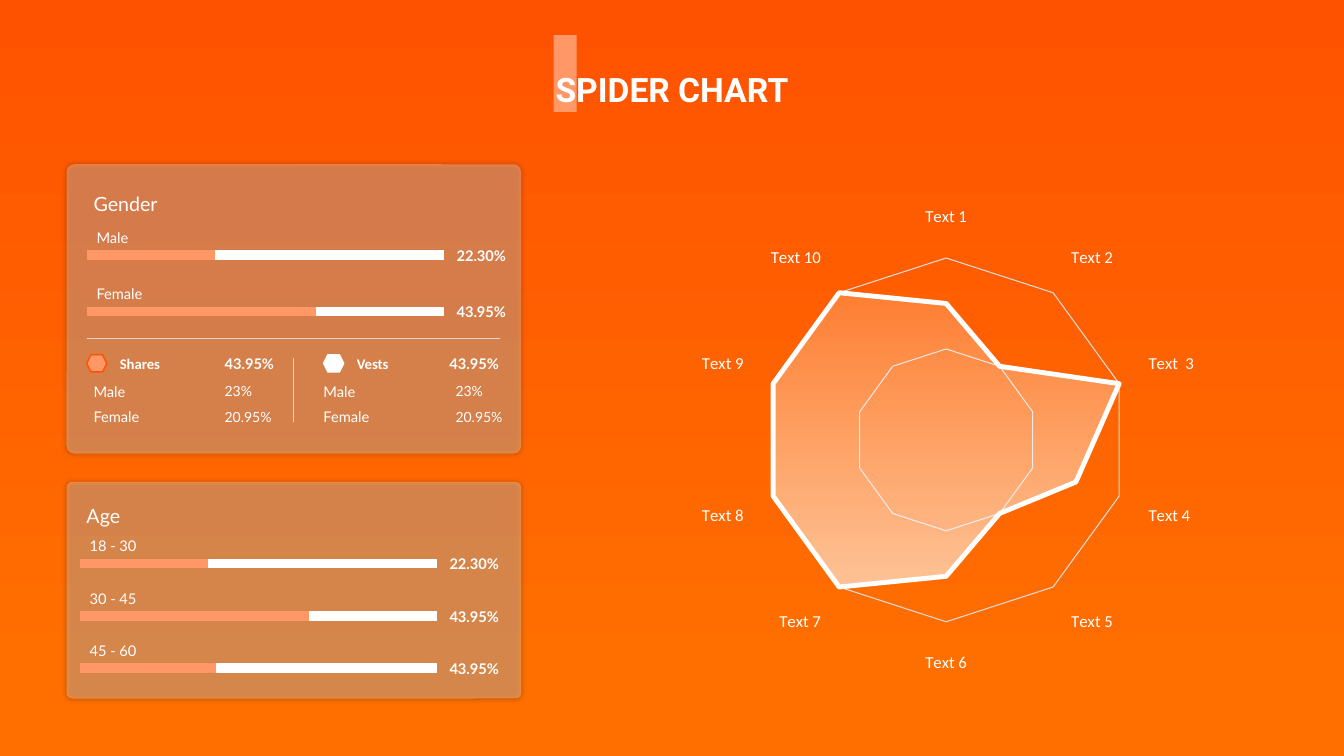
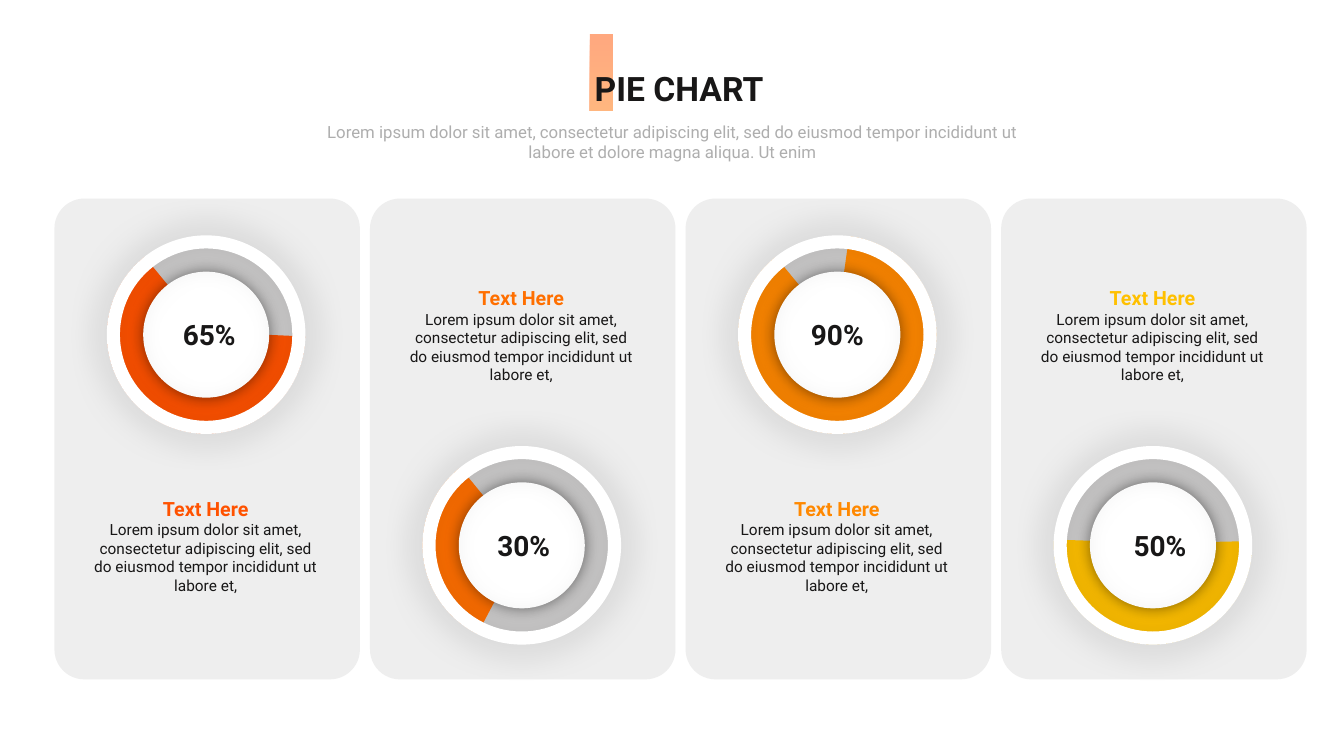
from lxml import etree
from pptx import Presentation
from pptx import util as u
from pptx.chart import data as chart_data
from pptx.dml import color as dml
from pptx.enum import chart as chart_enum
from pptx.enum import shapes, text
from pptx.oxml import ns

COLORS = {
    "white": "FFFFFF", "ink": "181717", "muted": "AEAEAE", "grid": "DDDCDC",
    "panel": "D9D9D9", "peach": "FF9766", "red": "FF5200", "orange": "FF6F00",
    "amber": "FF8800", "yellow": "FFC000", "black": "000000",
}
TITLE_FONT, PANEL_FONT, CHART_FONT = "Roboto", "Lato", "Calibri"
CARD_TEXT = ("Lorem ipsum dolor sit amet, consectetur adipiscing elit, "
             "sed do eiusmod tempor incididunt ut labore et,")
SUBTITLE = ("Lorem ipsum dolor sit amet, consectetur adipiscing elit, sed do eiusmod "
            "tempor incididunt ut labore et dolore magna aliqua. Ut enim")


def rgb(name):
    """Return the named colour."""
    return dml.RGBColor.from_string(COLORS[name])


def inches(*lengths):
    """Convert lengths to slide units."""
    return [u.Inches(length) for length in lengths]


def set_alpha(element, *percents):
    """Give the colours inside an element their opacities, in order."""
    for tint, percent in zip(element.iter(ns.qn("a:srgbClr")), percents):
        etree.SubElement(tint, ns.qn("a:alpha"), val=str(percent * 1000))


def set_gradient(fill, first, last, end=1.0):
    """Fill from top to bottom with two colours."""
    fill.gradient()
    fill.gradient_angle = 270
    for stop, name, position in zip(fill.gradient_stops, (first, last), (0, end)):
        stop.color.rgb = rgb(name)
        stop.position = position


def add_shadow(shape, opacity, blur):
    """Add a soft, centred shadow."""
    effects = shape.element.spPr.find(ns.qn("a:effectLst"))
    shadow = etree.SubElement(effects, ns.qn("a:outerShdw"), blurRad=str(u.Pt(blur)),
                              dist="0", dir="0", algn="ctr", rotWithShape="0")
    etree.SubElement(shadow, ns.qn("a:srgbClr"), val=COLORS["black"])
    set_alpha(shadow, opacity)


def add_shape(page, kind, box, fill=None, alpha=None, line=None, width=1):
    """Add a preset shape with plain fill and line."""
    shape = page.shapes.add_shape(kind, *inches(*box))
    shape.shadow.inherit = False
    if fill:
        shape.fill.solid()
        shape.fill.fore_color.rgb = rgb(fill)
    else:
        shape.fill.background()
    if alpha:
        set_alpha(shape.element.spPr, alpha)
    if line:
        shape.line.color.rgb = rgb(line)
        shape.line.width = u.Pt(width)
    else:
        shape.line.fill.background()
    return shape


def add_line(page, start, end, color, width):
    """Add a straight line without shadow."""
    line = page.shapes.add_connector(shapes.MSO_CONNECTOR.STRAIGHT, *inches(*start, *end))
    line.line.color.rgb = rgb(color)
    line.line.width = u.Pt(width)
    etree.SubElement(line.element.spPr, ns.qn("a:effectLst"))


def add_span(para, words, size, color, bold=False, font=PANEL_FONT):
    """Add one formatted run."""
    span = para.add_run()
    span.text = words
    span.font.size = u.Pt(size)
    span.font.name = font
    span.font.bold = bold
    span.font.color.rgb = rgb(color)


def add_text(page, box, *spans, align=text.PP_ALIGN.LEFT):
    """Add a text box with one paragraph for each tuple of run settings."""
    frame = page.shapes.add_textbox(*inches(*box)).text_frame
    frame.word_wrap = True
    for index, span in enumerate(spans):
        para = frame.add_paragraph() if index else frame.paragraphs[0]
        para.alignment = align
        add_span(para, *span)


def add_title(page, words, box, color, mark_left, mark_top):
    """Place the title over its accent mark and return the mark."""
    mark = add_shape(page, shapes.MSO_SHAPE.RECTANGLE, (mark_left, mark_top, 0.23, 0.76), "white")
    title = page.shapes.title
    title.left, title.top, title.width, title.height = inches(*box)
    frame = title.text_frame
    frame.word_wrap = True
    frame.auto_size = text.MSO_AUTO_SIZE.NONE
    frame.vertical_anchor = text.MSO_ANCHOR.TOP
    para = frame.paragraphs[0]
    para.alignment = text.PP_ALIGN.CENTER
    add_span(para, words, 24, color, True, TITLE_FONT)
    mark.element.addnext(title.element)
    return mark


def add_panel(page, box, heading, heading_at):
    """Add a translucent panel with its heading."""
    panel = add_shape(page, shapes.MSO_SHAPE.ROUNDED_RECTANGLE, box, "white", 29)
    panel.adjustments[0] = 0.027
    add_shadow(panel, 80, 4)
    left, top = box[0] + heading_at[0], box[1] + heading_at[1]
    add_text(page, (left, top, 0.94, 0.34), (heading, 14, "white"))


def add_meter(page, left, middle, label, value, filled):
    """Add a labelled bar with its value on the right."""
    for length, color in ((3.54, "white"), (filled, "peach")):
        add_line(page, (left, middle), (left + length, middle), color, 7)
    add_text(page, (left, middle - 0.31, 0.81, 0.28), (label, 10.5, "white"))
    add_text(page, (left + 3.57, middle - 0.13, 0.72, 0.28), (value, 10.5, "white", True))


def add_breakdown(page, top, name, fill, outline, marker_left, total_left, row_left, value_left):
    """Add a marker, a total and two detail rows."""
    add_shape(page, shapes.MSO_SHAPE.HEXAGON, (marker_left, top + 0.05, 0.2, 0.17),
              fill, line=outline)
    add_text(page, (marker_left + 0.23, top, 0.99, 0.28), (name, 10.5, "white", True, CHART_FONT))
    add_text(page, (total_left, top, 0.74, 0.28), ("43.95%", 10.5, "white", True))
    for row, (label, value) in enumerate((("Male", "23%"), ("Female", "20.95%"))):
        row_top = top + 0.28 + 0.25 * row
        add_text(page, (row_left, row_top, 0.81, 0.28), (label, 10.5, "white"))
        add_text(page, (value_left, row_top, 0.72, 0.27), (value, 10, "white"))


def add_gender_panel(page, box):
    """Build the gender panel."""
    left, top = box[:2]
    add_panel(page, box, "Gender", (0.17, 0.22))
    add_meter(page, left + 0.2, top + 0.9, "Male", "22.30%", 1.27)
    add_meter(page, left + 0.2, top + 1.46, "Female", "43.95%", 2.27)
    add_line(page, (left + 0.2, top + 1.73), (left + 4.3, top + 1.73), "panel", 0.75)
    add_line(page, (left + 2.25, top + 1.92), (left + 2.25, top + 2.56), "panel", 0.75)
    for name, fill, outline, *offsets in (
            ("Shares", "peach", "red", 0.2, 1.47, 0.17, 1.47),
            ("Vests", "white", "white", 2.55, 3.7, 2.45, 3.76)):
        add_breakdown(page, top + 1.84, name, fill, outline,
                      *(left + offset for offset in offsets))


def add_age_panel(page, box):
    """Build the age panel."""
    left, top = box[:2]
    add_panel(page, box, "Age", (0.1, 0.17))
    meters = (("18 - 30", "22.30%", 1.27), ("30 - 45", "43.95%", 2.27), ("45 - 60", "43.95%", 1.35))
    for row, meter in enumerate(meters):
        add_meter(page, left + 0.13, top + 0.81 + 0.52 * row, *meter)


def add_radar(page, box):
    """Build the filled radar chart."""
    numbers = chart_data.CategoryChartData()
    numbers.categories = ["Text 1", "Text 2", "Text  3", "Text 4", "Text 5",
                          "Text 6", "Text 7", "Text 8", "Text 9", "Text 10"]
    numbers.add_series("Series 1", (97, 94, 100, 97, 94, 97, 100, 100, 100, 100))
    chart = page.shapes.add_chart(chart_enum.XL_CHART_TYPE.RADAR_FILLED,
                                  *inches(*box), numbers).chart
    chart.has_legend = False
    chart.has_title = False
    chart.font.name = CHART_FONT
    chart.font.size = u.Pt(10)
    chart.font.color.rgb = rgb("ink")
    labels = chart.category_axis
    labels.major_tick_mark = chart_enum.XL_TICK_MARK.NONE
    labels.tick_labels.font.size = u.Pt(12)
    labels.tick_labels.font.name = CHART_FONT
    labels.tick_labels.font.color.rgb = rgb("white")
    scale = chart.value_axis
    scale.minimum_scale, scale.maximum_scale, scale.major_unit = 88, 100, 6
    scale.visible = False
    scale.has_major_gridlines = True
    for line in (labels.format.line, labels.major_gridlines.format.line,
                 scale.major_gridlines.format.line):
        line.color.rgb = rgb("grid")
        line.width = u.Pt(0.75)
    plot = chart.plots[0]
    plot.vary_by_categories = False
    area = plot.series[0].format
    set_gradient(area.fill, "white", "white")
    set_alpha(plot.series[0]._element, 20, 60)
    area.line.color.rgb = rgb("white")
    area.line.width = u.Pt(3.5)
    plot_area = chart._chartSpace.find(".//" + ns.qn("c:plotArea"))
    layout = plot_area.find(ns.qn("c:layout"))
    if layout is None:
        layout = etree.Element(ns.qn("c:layout"))
        plot_area.insert(0, layout)
    manual = etree.SubElement(layout, ns.qn("c:manualLayout"))
    for tag, value in (("layoutTarget", "inner"), ("xMode", "edge"), ("yMode", "edge"),
                       ("x", "0.247"), ("y", "0.082"), ("w", "0.534"), ("h", "0.868")):
        etree.SubElement(manual, ns.qn("c:" + tag), val=value)


def add_ring(page, center, middle, color, start, end):
    """Build a progress ring around a centre, with angles in degrees."""
    def around(size):
        return center - size / 2, middle - size / 2, size, size

    add_shape(page, shapes.MSO_SHAPE.OVAL, around(1.76), "ink", 15)
    arc = add_shape(page, shapes.MSO_SHAPE.ARC, around(1.53), line=color, width=31.25)
    arc.adjustments[0], arc.adjustments[1] = start * 0.6, end * 0.6
    add_shadow(add_shape(page, shapes.MSO_SHAPE.OVAL, around(1.25), "white"), 49, 11)
    rim = add_shape(page, shapes.MSO_SHAPE.DONUT, around(1.97), "white")
    rim.adjustments[0] = 0.066
    add_shadow(rim, 25, 29)


def add_card(page, box, ring_first, color, percent, start, end, nudge):
    """Build a card with a ring and a text, in either order."""
    left, top, width, height = box
    card = add_shape(page, shapes.MSO_SHAPE.ROUNDED_RECTANGLE, box, "panel", 44)
    card.adjustments[0] = 0.098
    center = left + width / 2 - 0.01
    middle, other = top + 1.35, top + 3.44
    if not ring_first:
        middle, other = other, middle
    add_ring(page, center, middle, color, start, end)
    add_text(page, (center - 1.23, other - 0.53, 2.45, 1.08),
             ("Text Here", 14, color, True, TITLE_FONT),
             (CARD_TEXT, 11, "ink", False, TITLE_FONT), align=text.PP_ALIGN.CENTER)
    add_text(page, (center - 0.67 + nudge, middle - 0.22, 1.34, 0.44),
             (percent, 20, "ink", True, TITLE_FONT), align=text.PP_ALIGN.CENTER)


def build_spider_page(page):
    """Build the spider chart slide."""
    set_gradient(page.background.fill, "red", "orange", 0.9)
    mark = add_title(page, "SPIDER CHART", (3.56, 0.63, 6.21, 0.5), "white", 5.49, 0.35)
    set_alpha(mark.element.spPr, 40)
    add_radar(page, (5.91, 1.63, 6.76, 5.3))
    add_gender_panel(page, (0.66, 1.63, 4.51, 2.87))
    add_age_panel(page, (0.66, 4.78, 4.51, 2.15))


def build_pie_page(page):
    """Build the pie chart slide."""
    mark = add_title(page, "PIE CHART", (5.79, 0.62, 1.89, 0.5), "ink", 5.85, 0.34)
    set_gradient(mark.fill, "red", "orange")
    set_alpha(mark.element.spPr, 50, 50)
    add_text(page, (3.11, 1.16, 7.12, 0.5), (SUBTITLE, 12, "muted", False, TITLE_FONT),
             align=text.PP_ALIGN.CENTER)
    cards = (("red", "65%", 0.67, 232, 0.03), ("orange", "30%", 116.15, 232, 0.02),
             ("amber", "90%", 276.52, 232, 0), ("yellow", "50%", 357.23, 183.71, 0.07))
    for index, card in enumerate(cards):
        add_card(page, (0.54 + 3.13 * index, 1.97, 3.03, 4.77), index % 2 == 0, *card)


def main():
    """Build and save the deck."""
    deck = Presentation()
    deck.slide_width, deck.slide_height = inches(13.33, 7.5)
    for build in (build_spider_page, build_pie_page):
        build(deck.slides.add_slide(deck.slide_layouts[5]))
    deck.save("out.pptx")


if __name__ == "__main__":
    main()
